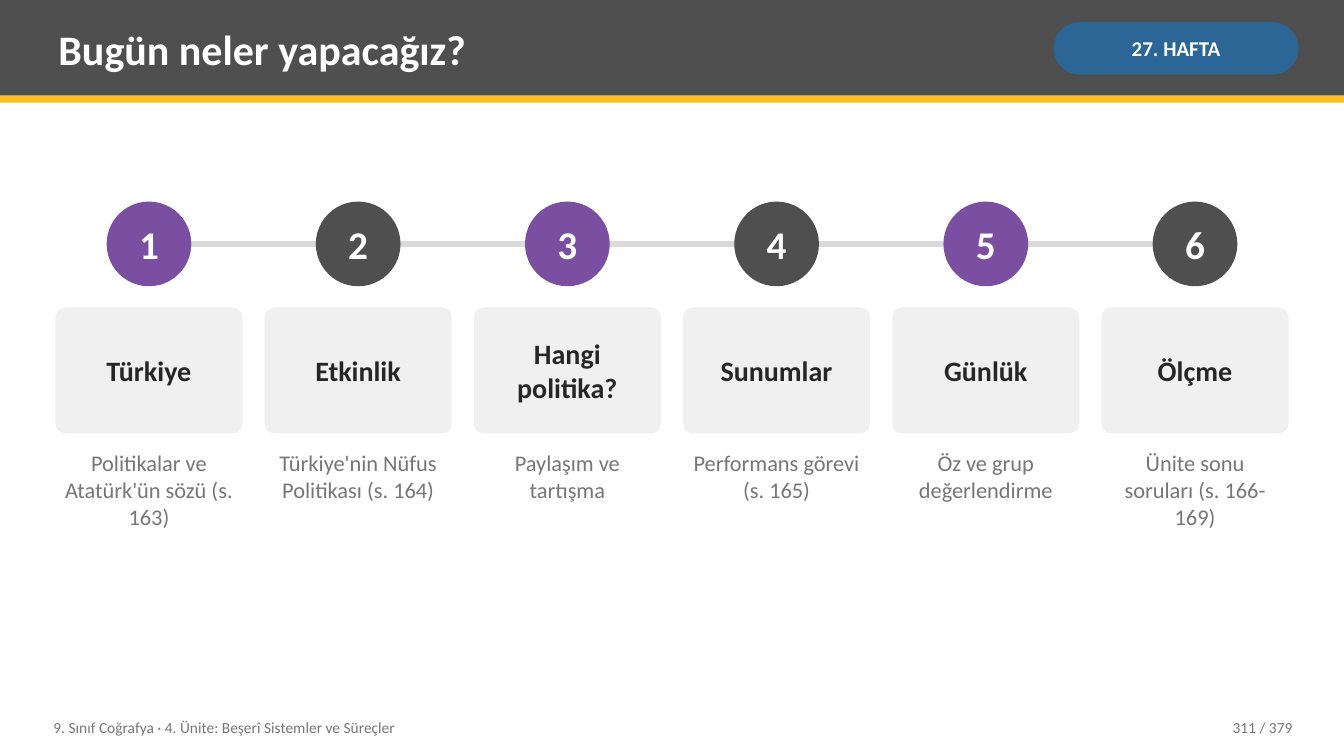
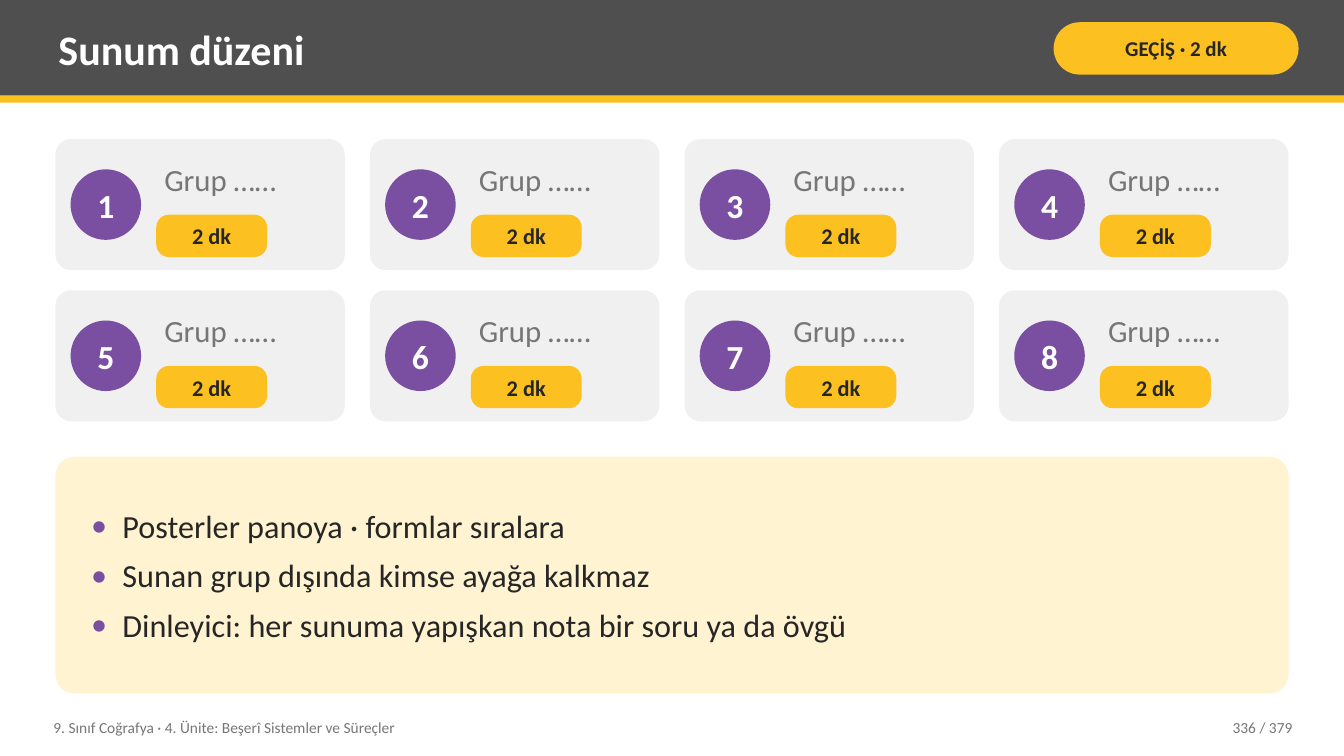
from dataclasses import dataclass
from typing import NamedTuple

import lxml.etree
import pptx
import pptx.dml.color
import pptx.enum.shapes
import pptx.enum.text
import pptx.oxml.ns
import pptx.presentation
import pptx.shapes.autoshape
import pptx.slide
import pptx.text.text
import pptx.util

Inches = pptx.util.Inches
RGBColor = pptx.dml.color.RGBColor
ShapeKind = pptx.enum.shapes.MSO_SHAPE
Align = pptx.enum.text.PP_ALIGN
Anchor = pptx.enum.text.MSO_ANCHOR

# Palette
WHITE = RGBColor(0xFF, 0xFF, 0xFF)
CHARCOAL = RGBColor(0x4F, 0x4F, 0x4F)
YELLOW = RGBColor(0xFC, 0xC0, 0x21)
CREAM = RGBColor(0xFF, 0xF3, 0xD1)
PURPLE = RGBColor(0x7A, 0x4E, 0xA0)
BLUE = RGBColor(0x2C, 0x66, 0x96)
INK = RGBColor(0x26, 0x26, 0x26)
GRAY = RGBColor(0x76, 0x76, 0x76)
LIGHT = RGBColor(0xF0, 0xF0, 0xF0)
RAIL = RGBColor(0xD9, 0xD9, 0xD9)

# Shared measures, in inches
FONT = "Calibri"
SLIDE_WIDTH, SLIDE_HEIGHT = 13.33, 7.5
LEFT, CONTENT_WIDTH = 0.55, 12.23
COURSE = "9. Sınıf Coğrafya · 4. Ünite: Beşerî Sistemler ve Süreçler"
PAGE_COUNT = 379


class Box(NamedTuple):
    left: float
    top: float
    width: float
    height: float


@dataclass(frozen=True)
class TextStyle:
    size: float
    color: RGBColor
    bold: bool = False
    align: Align = Align.CENTER
    anchor: Anchor = Anchor.MIDDLE
    pad_x: float = 0.08
    pad_y: float = 0.04
    wrap: bool = True


@dataclass(frozen=True)
class Header:
    title: str
    tag: str
    tag_fill: RGBColor
    tag_color: RGBColor
    page: int


class Step(NamedTuple):
    name: str
    detail: str


TITLE = TextStyle(30, WHITE, bold=True, align=Align.LEFT)
STEP_NAME = TextStyle(20, INK, bold=True, pad_y=0.08)
STEP_DETAIL = TextStyle(16, GRAY, anchor=Anchor.TOP)
GROUP_NAME = TextStyle(22, GRAY, align=Align.LEFT)
DURATION = TextStyle(16, INK, bold=True, pad_x=0.06, pad_y=0.02)
RULE = TextStyle(23, INK, align=Align.LEFT, pad_x=0.3, pad_y=0.08)

AGENDA_HEADER = Header("Bugün neler yapacağız?", "27. HAFTA", BLUE, WHITE, 311)
AGENDA = [
    Step("Türkiye", "Politikalar ve Atatürk'ün sözü (s. 163)"),
    Step("Etkinlik", "Türkiye'nin Nüfus Politikası (s. 164)"),
    Step("Hangi politika?", "Paylaşım ve tartışma"),
    Step("Sunumlar", "Performans görevi (s. 165)"),
    Step("Günlük", "Öz ve grup değerlendirme"),
    Step("Ölçme", "Ünite sonu soruları (s. 166-169)"),
]
ORDER_HEADER = Header("Sunum düzeni", "GEÇİŞ · 2 dk", YELLOW, INK, 336)
RULES = [
    "Posterler panoya · formlar sıralara",
    "Sunan grup dışında kimse ayağa kalkmaz",
    "Dinleyici: her sunuma yapışkan nota bir soru ya da övgü",
]


def columns(count: int, gap: float) -> tuple[list[float], float]:
    """Left edges and common width of columns filling the content area."""
    width = (CONTENT_WIDTH - gap * (count - 1)) / count
    return [LEFT + i * (width + gap) for i in range(count)], width


def write(frame: pptx.text.text.TextFrame, lines: list[str], style: TextStyle) -> None:
    frame.auto_size = pptx.enum.text.MSO_AUTO_SIZE.NONE
    frame.word_wrap = style.wrap
    frame.vertical_anchor = style.anchor
    frame.margin_left = frame.margin_right = Inches(style.pad_x)
    frame.margin_top = frame.margin_bottom = Inches(style.pad_y)
    frame.text = "\n".join(lines)
    for paragraph in frame.paragraphs:
        paragraph.alignment = style.align
        font = paragraph.font
        font.name, font.size, font.bold = FONT, pptx.util.Pt(style.size), style.bold
        font.color.rgb = style.color


def add_text(slide: pptx.slide.Slide, box: Box, text: str, style: TextStyle) -> None:
    write(slide.shapes.add_textbox(*map(Inches, box)).text_frame, [text], style)


def add_panel(
    slide: pptx.slide.Slide,
    kind: ShapeKind,
    box: Box,
    fill: RGBColor,
    rounding: float | None = None,
) -> pptx.shapes.autoshape.Shape:
    panel = slide.shapes.add_shape(kind, *map(Inches, box))
    panel.shadow.inherit = False
    panel.fill.solid()
    panel.fill.fore_color.rgb = fill
    panel.line.fill.background()
    if rounding is not None:
        panel.adjustments[0] = rounding
    return panel


def add_card(slide: pptx.slide.Slide, box: Box, fill: RGBColor, rounding: float,
             lines: list[str], style: TextStyle) -> pptx.shapes.autoshape.Shape:
    card = add_panel(slide, ShapeKind.ROUNDED_RECTANGLE, box, fill, rounding)
    write(card.text_frame, lines, style)
    return card


def add_number(slide: pptx.slide.Slide, left: float, top: float, diameter: float,
               number: int, fill: RGBColor, size: float) -> None:
    circle = add_panel(slide, ShapeKind.OVAL, Box(left, top, diameter, diameter), fill)
    style = TextStyle(size, WHITE, bold=True, pad_x=0, pad_y=0, wrap=False)
    write(circle.text_frame, [str(number)], style)


def add_rail(slide: pptx.slide.Slide, start: float, end: float, y: float) -> None:
    rail = slide.shapes.add_connector(
        pptx.enum.shapes.MSO_CONNECTOR.STRAIGHT,
        Inches(start), Inches(y), Inches(end), Inches(y),
    )
    rail.line.color.rgb = RAIL
    rail.line.width = pptx.util.Pt(4)
    properties = rail.element.find(pptx.oxml.ns.qn("p:spPr"))
    lxml.etree.SubElement(properties, pptx.oxml.ns.qn("a:effectLst"))


def add_bullet(paragraph: pptx.text.text._Paragraph, color: RGBColor) -> None:
    qn = pptx.oxml.ns.qn
    properties = paragraph._p.get_or_add_pPr()
    properties.set("marL", str(Inches(0.31)))
    properties.set("indent", str(-Inches(0.31)))
    bullet_color = lxml.etree.Element(qn("a:buClr"))
    lxml.etree.SubElement(bullet_color, qn("a:srgbClr"), val=str(color))
    bullet_font = lxml.etree.Element(qn("a:buFont"), typeface=FONT)
    bullet = lxml.etree.Element(qn("a:buChar"), char="•")
    # Bullet elements come before the paragraph's default run properties
    for position, part in enumerate((bullet_color, bullet_font, bullet)):
        properties.insert(position, part)


def add_slide(deck: pptx.presentation.Presentation, header: Header) -> pptx.slide.Slide:
    """Slide with the header bands, title, tag and footer."""
    slide = deck.slides.add_slide(deck.slide_layouts.get_by_name("Title Only"))
    title = slide.shapes.title

    # Header bands, behind the title
    for top, height, fill in ((0, 0.95, CHARCOAL), (0.95, 0.07, YELLOW)):
        band = add_panel(slide, ShapeKind.RECTANGLE, Box(0, top, SLIDE_WIDTH, height), fill)
        title.element.addprevious(band.element)

    title.left, title.top, title.width, title.height = map(Inches, Box(0.5, 0.07, 9.75, 0.82))
    write(title.text_frame, [header.title], TITLE)

    tag_style = TextStyle(15, header.tag_color, bold=True, pad_x=0.05, pad_y=0.02)
    add_card(slide, Box(10.45, 0.22, 2.43, 0.52), header.tag_fill, 0.5, [header.tag], tag_style)

    # Footer
    add_text(slide, Box(0.45, 7.04, 7.6, 0.36), COURSE, TextStyle(11, GRAY, align=Align.LEFT))
    add_text(slide, Box(11.3, 7.04, 1.6, 0.36), f"{header.page} / {PAGE_COUNT}",
             TextStyle(11, GRAY, align=Align.RIGHT))
    return slide


def build_agenda(deck: pptx.presentation.Presentation) -> None:
    slide = add_slide(deck, AGENDA_HEADER)
    lefts, width = columns(len(AGENDA), gap=0.22)
    diameter, circle_top = 0.84, 2

    # Timeline behind the numbers
    add_rail(slide, lefts[0] + width / 2, lefts[-1] + width / 2, circle_top + diameter / 2)

    for number, (left, step) in enumerate(zip(lefts, AGENDA), start=1):
        fill = PURPLE if number % 2 else CHARCOAL
        add_number(slide, left + (width - diameter) / 2, circle_top, diameter, number, fill, 28)
        add_card(slide, Box(left, 3.05, width, 1.25), LIGHT, 0.08, [step.name], STEP_NAME)
        add_text(slide, Box(left, 4.42, width, 1.9), step.detail, STEP_DETAIL)


def build_presentation_order(deck: pptx.presentation.Presentation) -> None:
    slide = add_slide(deck, ORDER_HEADER)

    # Group cards
    lefts, width = columns(4, gap=0.25)
    slots = [(left, top) for top in (1.38, 2.88) for left in lefts]
    for number, (left, top) in enumerate(slots, start=1):
        add_panel(slide, ShapeKind.ROUNDED_RECTANGLE, Box(left, top, width, 1.3), LIGHT, 0.12)
        add_number(slide, left + 0.15, top + 0.3, 0.7, number, PURPLE, 24)
        add_text(slide, Box(left + 1, top + 0.1, width - 1.1, 0.6), "Grup ……", GROUP_NAME)
        add_card(slide, Box(left + 1, top + 0.75, 1.1, 0.42), YELLOW, 0.3, ["2 dk"], DURATION)

    # Rules
    rules = add_card(slide, Box(LEFT, 4.53, CONTENT_WIDTH, 2.35), CREAM, 0.08, RULES, RULE)
    paragraphs = rules.text_frame.paragraphs
    for paragraph in paragraphs:
        add_bullet(paragraph, PURPLE)
    for paragraph in paragraphs[:-1]:
        paragraph.space_after = pptx.util.Pt(8)


def main() -> None:
    deck = pptx.Presentation()
    deck.slide_width, deck.slide_height = Inches(SLIDE_WIDTH), Inches(SLIDE_HEIGHT)
    build_agenda(deck)
    build_presentation_order(deck)
    deck.save("out.pptx")


if __name__ == "__main__":
    main()
